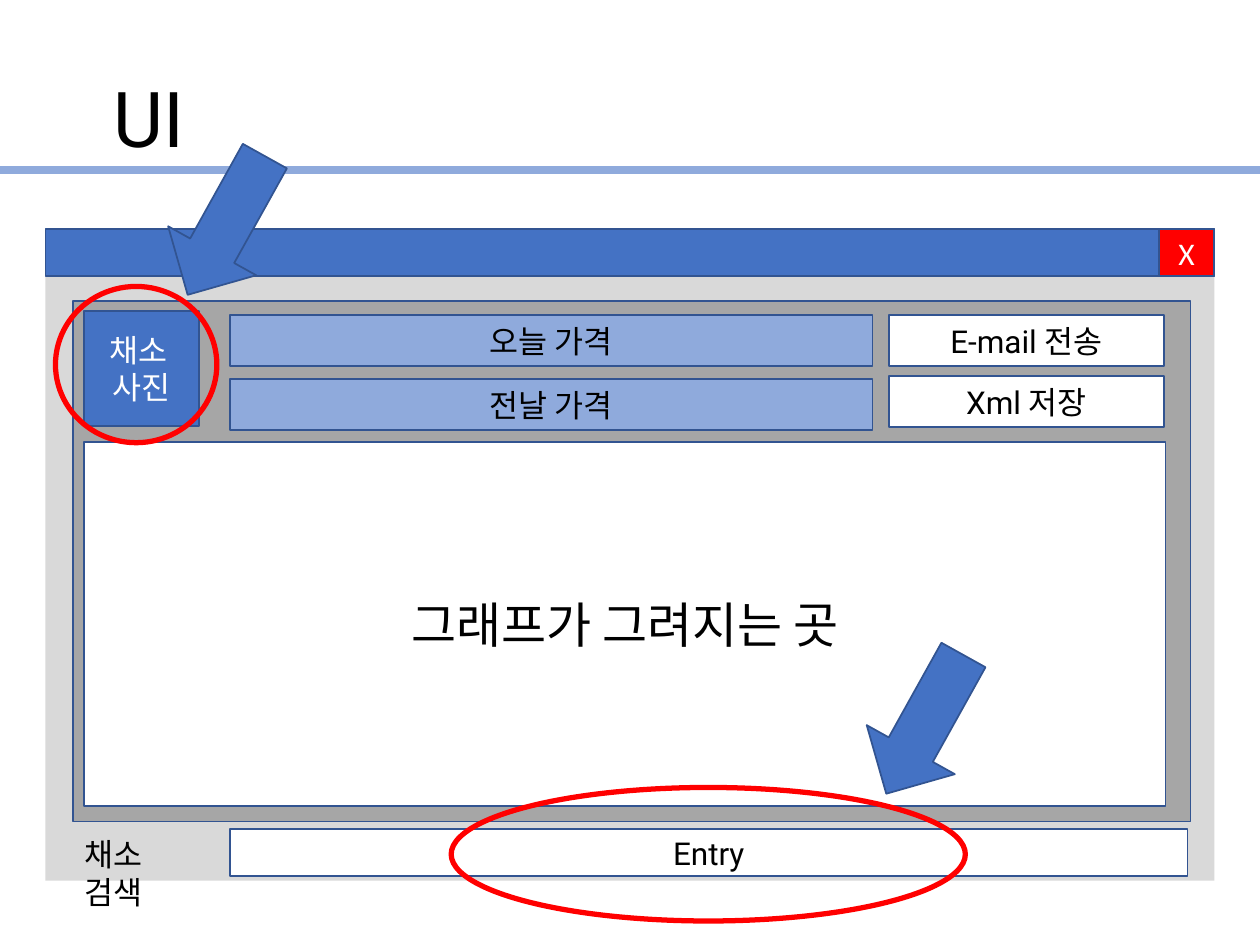
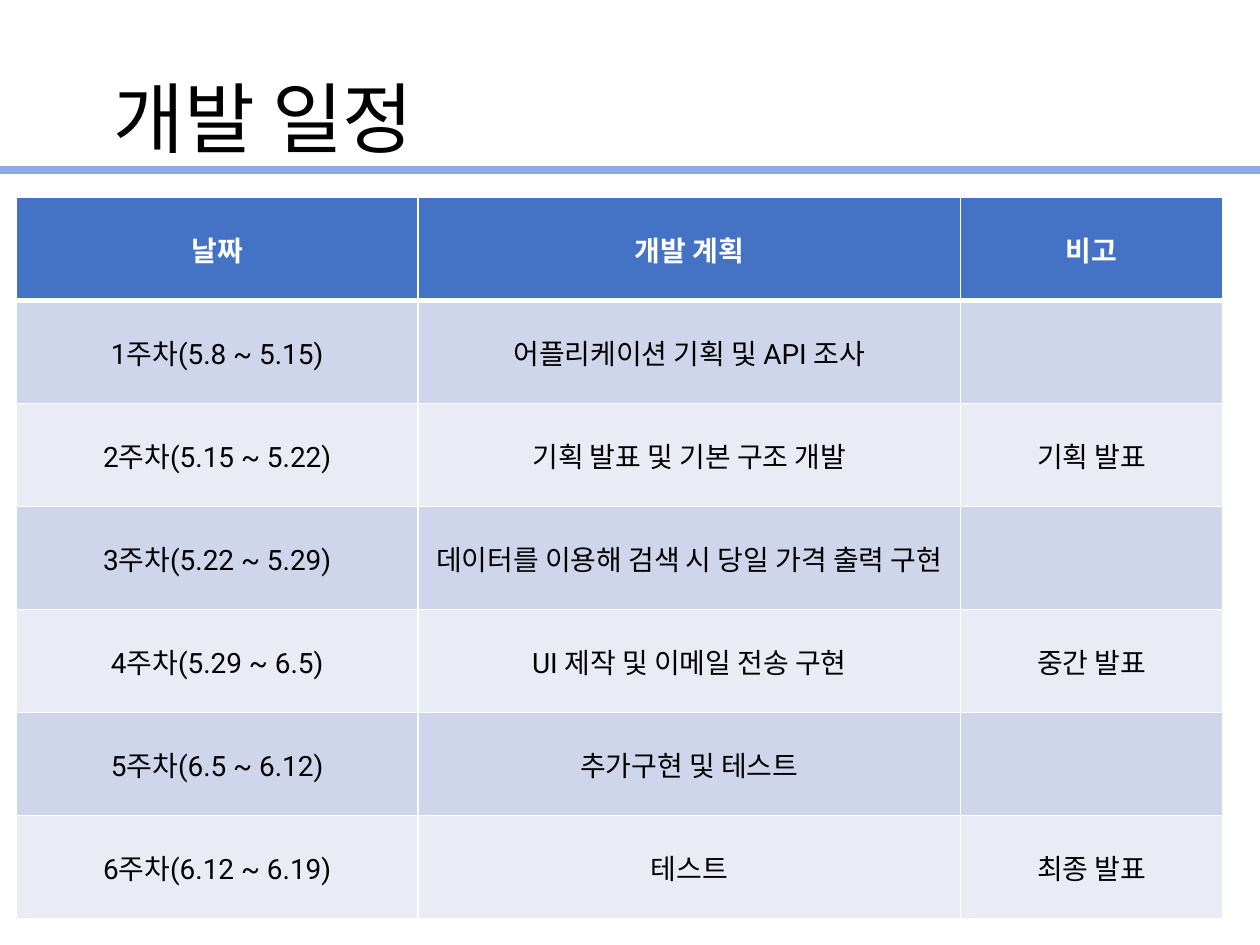
from lxml.etree import SubElement
from pptx import Presentation
from pptx.dml.color import RGBColor
from pptx.enum.shapes import MSO_CONNECTOR, MSO_SHAPE
from pptx.enum.text import MSO_ANCHOR, PP_ALIGN
from pptx.oxml.ns import qn
from pptx.util import Pt

COLORS = {
    "black": "000000", "white": "FFFFFF", "blue": "4472C4", "outline": "325491",
    "light_blue": "8FAADC", "red": "FF0000", "window": "D9D9D9", "panel": "A6A6A6",
    "odd_row": "CFD5EA", "even_row": "E9EBF5",
}
SLIDE_WIDTH, SLIDE_HEIGHT = 720, 540
FONT = "Roboto"

# Mock window: every box is (left, top, width, height)
WINDOW = (26, 131, 668, 372.25)
BAR_HEIGHT = 26.6
CLOSE_WIDTH = 31.7
PANEL = (41.8, 172, 638.6, 297.4)
PHOTO = (48.2, 177.8, 65.5, 65.5)
GRAPH = (48.2, 252.7, 617.8, 208.1)
ENTRY = (131.4, 473.8, 547.2, 26.7)
SEARCH_LABEL = (41, 473.8, 83.5, 29)
# Stacks: left, top, width, step between boxes, fill, texts
STACKS = [
    (131.4, 180.1, 367.2, 36.6, "light_blue", ["오늘 가격", "전날 가격"]),
    (508, 180.1, 157.2, 34.7, "white", ["E-mail 전송", "Xml 저장"]),
]
STACK_BOX_HEIGHT = 29.1
# Each highlight: ring box, then left and top of its arrow
HIGHLIGHTS = [
    ((257.8, 450, 293.8, 76.3), (499.7, 368.6)),
    ((31.7, 163.7, 92.2, 89.3), (100.5, 83.5)),
]
ARROW_SIZE = (57.6, 90.7)
ARROW_ROTATION = 29.1

SCHEDULE = [
    ("날짜", "개발 계획", "비고"),
    ("1주차(5.8 ~ 5.15)", "어플리케이션 기획 및 API 조사", ""),
    ("2주차(5.15 ~ 5.22)", "기획 발표 및 기본 구조 개발", "기획 발표"),
    ("3주차(5.22 ~ 5.29)", "데이터를 이용해 검색 시 당일 가격 출력 구현", ""),
    ("4주차(5.29 ~ 6.5)", "UI 제작 및 이메일 전송 구현", "중간 발표"),
    ("5주차(6.5 ~ 6.12)", "추가구현 및 테스트", ""),
    ("6주차(6.12 ~ 6.19)", "테스트", "최종 발표"),
]
SCHEDULE_LEFT, SCHEDULE_TOP = 9.4, 112.8
COLUMN_WIDTHS = [229.4, 310.2, 149.5]
ROW_HEIGHT = 58.9


def color(name):
    return RGBColor.from_string(COLORS[name])


def points(box):
    return [Pt(length) for length in box]


def write(frame, text, size=18, ink="black", font=FONT, bold=False,
          align=PP_ALIGN.CENTER):
    """Fill a text frame, one paragraph for each line of text."""
    for index, line in enumerate(text.split("\n")):
        paragraph = frame.paragraphs[0] if index == 0 else frame.add_paragraph()
        paragraph.alignment = align
        run = paragraph.add_run()
        run.text = line
        run.font.name = font
        run.font.size = Pt(size)
        run.font.bold = bold
        run.font.color.rgb = color(ink)


def add_text(slide, box, text, **text_format):
    frame = slide.shapes.add_textbox(*points(box)).text_frame
    frame.word_wrap = True
    write(frame, text, align=PP_ALIGN.LEFT, **text_format)


def add_shape(slide, box, fill=None, line="outline", line_width=1,
              kind=MSO_SHAPE.RECTANGLE, text="", **text_format):
    shape = slide.shapes.add_shape(kind, *points(box))
    shape.shadow.inherit = False
    if fill:
        shape.fill.solid()
        shape.fill.fore_color.rgb = color(fill)
    else:
        shape.fill.background()
    if line:
        shape.line.color.rgb = color(line)
        shape.line.width = Pt(line_width)
    else:
        shape.line.fill.background()
    if text:
        shape.text_frame.vertical_anchor = MSO_ANCHOR.MIDDLE
        write(shape.text_frame, text, **text_format)
    return shape


def add_titled_slide(presentation, title):
    slide = presentation.slides.add_slide(presentation.slide_layouts[6])
    add_text(slide, (57.6, 36.7, 608.4, 60.5), title, size=44)
    rule = slide.shapes.add_connector(
        MSO_CONNECTOR.STRAIGHT, *points((0, 97.2, SLIDE_WIDTH, 97.2)))
    rule.line.color.rgb = color("light_blue")
    rule.line.width = Pt(4.5)
    SubElement(rule._element.spPr, qn("a:effectLst"))
    return slide


def set_borders(cell, widths):
    """Draw white borders; widths are for left, right, top and bottom."""
    properties = cell._tc.get_or_add_tcPr()
    for index, (side, width) in enumerate(zip("LRTB", widths)):
        border = properties.makeelement(qn(f"a:ln{side}"), {"w": str(Pt(width))})
        fill = SubElement(border, qn("a:solidFill"))
        SubElement(fill, qn("a:srgbClr"), val=COLORS["white"])
        properties.insert(index, border)


def build_interface(presentation):
    slide = add_titled_slide(presentation, "UI")
    left, top, width, _ = WINDOW
    add_shape(slide, WINDOW, "window", line=None)
    add_shape(slide, (left, top, width, BAR_HEIGHT), "blue")
    add_shape(slide, PANEL, "panel")
    add_shape(slide, ENTRY, "white", text="Entry")
    add_text(slide, SEARCH_LABEL, "채소 검색")
    add_shape(slide, PHOTO, "blue", text="채소 \n사진", ink="white")
    add_shape(slide, GRAPH, "white", text="그래프가 그려지는 곳", size=28)
    close_box = (left + width - CLOSE_WIDTH, top, CLOSE_WIDTH, BAR_HEIGHT)
    add_shape(slide, close_box, "red", text="X", ink="white", font="Calibri")
    for left, top, width, step, fill, texts in STACKS:
        for index, text in enumerate(texts):
            box = (left, top + index * step, width, STACK_BOX_HEIGHT)
            add_shape(slide, box, fill, text=text)
    for ring, arrow_corner in HIGHLIGHTS:
        add_shape(slide, ring, line="red", line_width=3, kind=MSO_SHAPE.OVAL)
        arrow = add_shape(slide, arrow_corner + ARROW_SIZE, "blue",
                          kind=MSO_SHAPE.DOWN_ARROW)
        arrow.rotation = ARROW_ROTATION


def build_schedule(presentation):
    slide = add_titled_slide(presentation, "개발 일정")
    box = (SCHEDULE_LEFT, SCHEDULE_TOP, sum(COLUMN_WIDTHS), ROW_HEIGHT * len(SCHEDULE))
    table = slide.shapes.add_table(
        len(SCHEDULE), len(COLUMN_WIDTHS), *points(box)).table
    for column, width in zip(table.columns, COLUMN_WIDTHS):
        column.width = Pt(width)
    for row_index, texts in enumerate(SCHEDULE):
        table.rows[row_index].height = Pt(ROW_HEIGHT)
        header = row_index == 0
        fill = "blue" if header else "odd_row" if row_index % 2 else "even_row"
        top_width = 3 if row_index == 1 else 1
        bottom_width = 3 if header else 1
        for column_index, text in enumerate(texts):
            cell = table.cell(row_index, column_index)
            cell.vertical_anchor = MSO_ANCHOR.MIDDLE
            cell.fill.solid()
            cell.fill.fore_color.rgb = color(fill)
            set_borders(cell, (1, 1, top_width, bottom_width))
            if text:
                write(cell.text_frame, text, size=16, bold=header,
                      ink="white" if header else "black")


def main():
    presentation = Presentation()
    presentation.slide_width = Pt(SLIDE_WIDTH)
    presentation.slide_height = Pt(SLIDE_HEIGHT)
    build_interface(presentation)
    build_schedule(presentation)
    presentation.save("out.pptx")


if __name__ == "__main__":
    main()
